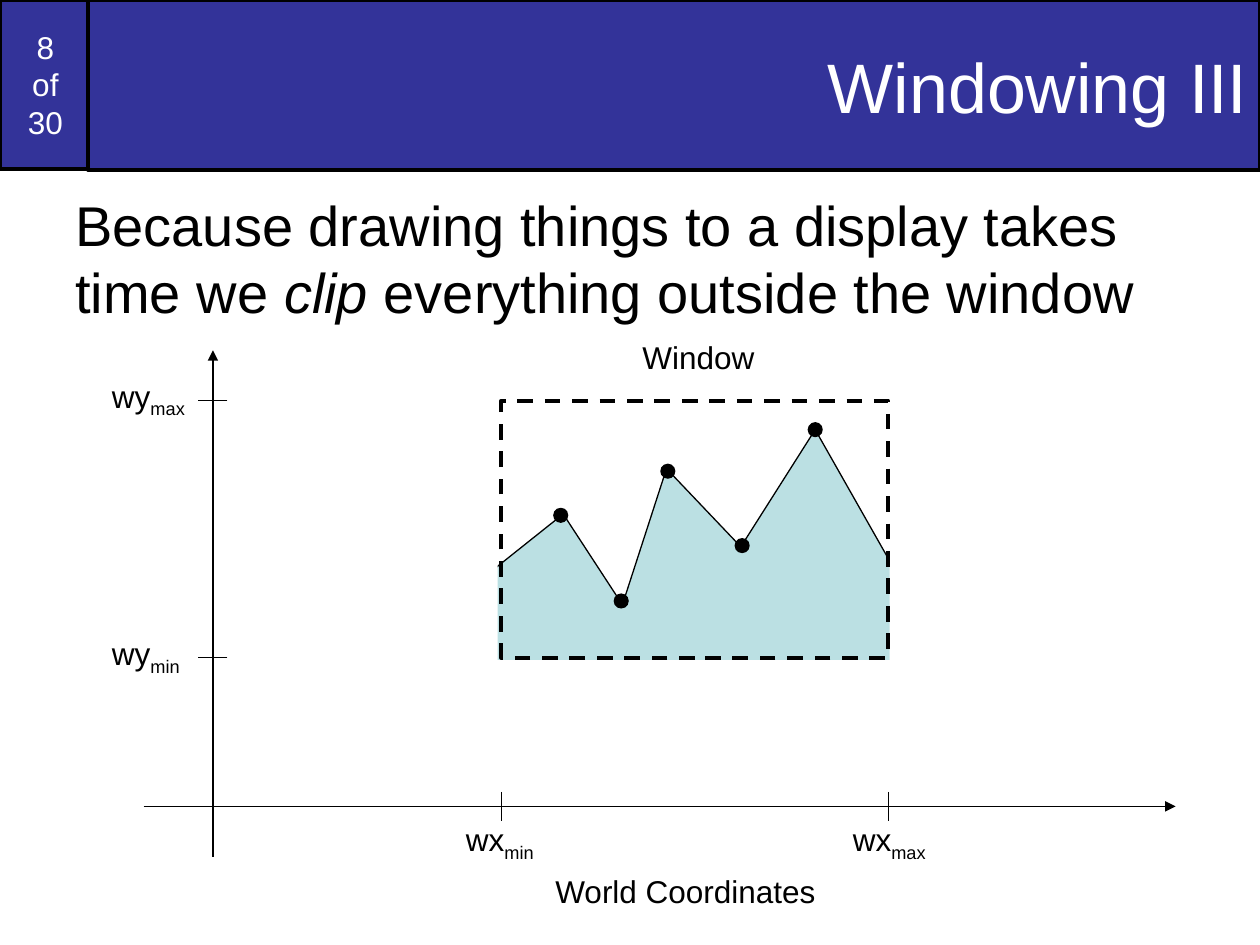
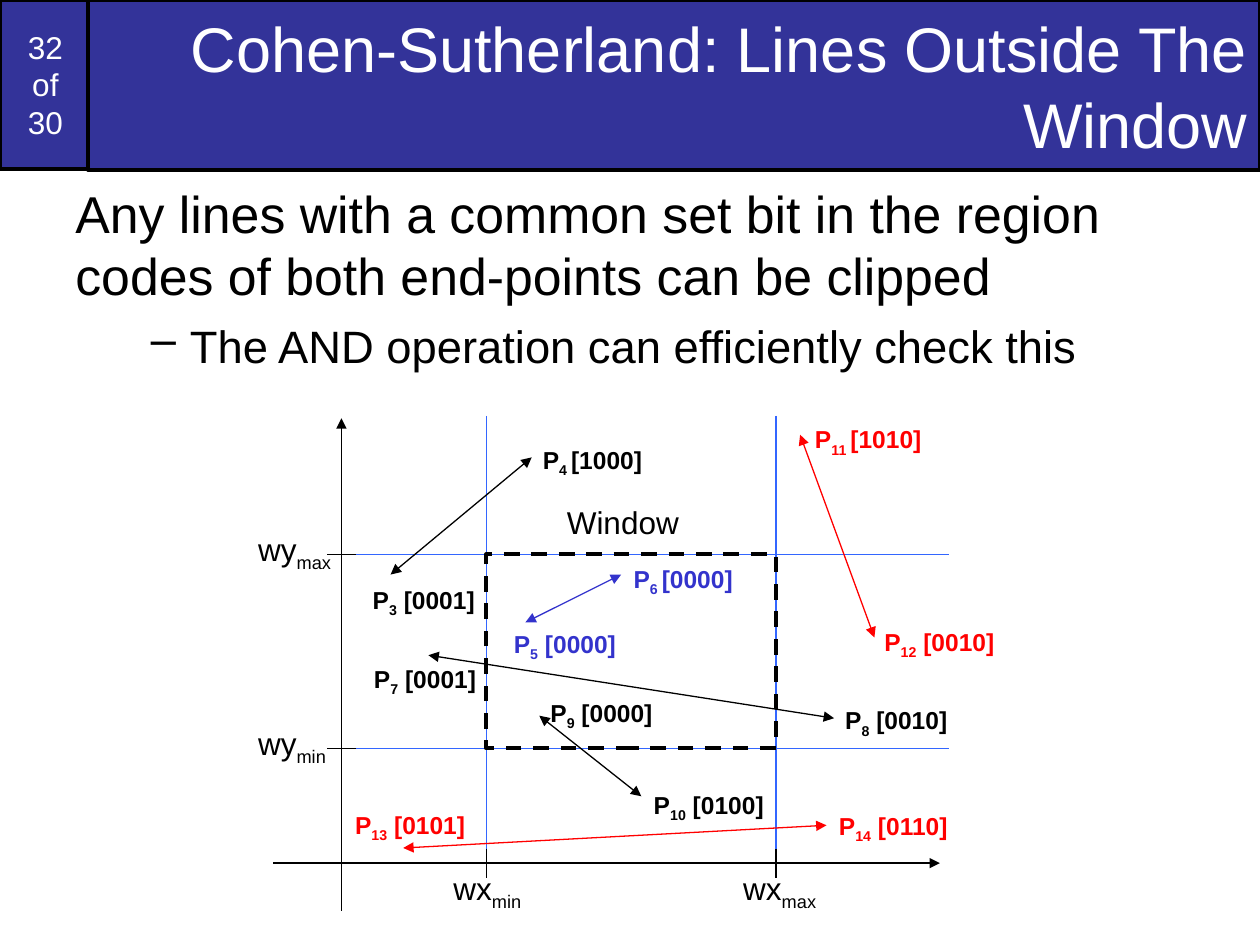
from lxml import etree
from pptx import Presentation
from pptx.dml.color import RGBColor
from pptx.enum.dml import MSO_LINE
from pptx.enum.shapes import MSO_CONNECTOR, MSO_SHAPE
from pptx.enum.text import MSO_ANCHOR, PP_ALIGN
from pptx.oxml.ns import qn
from pptx.util import Inches, Pt

RECTANGLE, ELLIPSE = MSO_SHAPE.RECTANGLE, MSO_SHAPE.OVAL
STRAIGHT, DASH = MSO_CONNECTOR.STRAIGHT, MSO_LINE.DASH
LEFT, CENTER, RIGHT = PP_ALIGN.LEFT, PP_ALIGN.CENTER, PP_ALIGN.RIGHT
MIDDLE = MSO_ANCHOR.MIDDLE

BLACK = RGBColor(0x00, 0x00, 0x00)
WHITE = RGBColor(0xFF, 0xFF, 0xFF)
NAVY = RGBColor(0x33, 0x33, 0x99)
TEAL = RGBColor(0xBB, 0xE0, 0xE3)
BLUE = RGBColor(0x33, 0x66, 0xFF)
INDIGO = RGBColor(0x33, 0x33, 0xCC)
RED = RGBColor(0xFF, 0x00, 0x00)

FONT = "Arial"
WIDTH, HEIGHT = 10, 7.5
BAND_HEIGHT, COUNTER_WIDTH = 1.35, 0.7
BODY_LEFT, BODY_WIDTH = WIDTH * 0.05, WIDTH * 0.9
THIN, FRAME, DASHED = 0.75, 2, 2.25
TICK = 0.23
DOT = 0.12
TOTAL_PAGES = 30
TIGHT_LABELS = (4, 6, 11)


def inches(*lengths):
    return [Inches(length) for length in lengths]


def write(para, *spans, size=18, color=BLACK, bold=False, align=LEFT):
    """Add spans to a paragraph; a span is a text or a (text, "sub" | "italic") pair."""
    para.alignment = align
    for span in spans:
        text, style = (span, None) if isinstance(span, str) else span
        for index, line in enumerate(text.split("\n")):
            if index:
                para.add_line_break()
            run = para.add_run()
            run.text = line
            font = run.font
            font.name, font.size, font.bold = FONT, Pt(size), bold
            font.color.rgb = color
            if style == "italic":
                font.italic = True
            elif style == "sub":
                run._r.get_or_add_rPr().set("baseline", "-25000")


def add_text(page, left, top, width, height, *spans, wrap=False, **text_format):
    box = page.shapes.add_textbox(*inches(left, top, width, height))
    box.text_frame.word_wrap = wrap
    write(box.text_frame.paragraphs[0], *spans, **text_format)
    return box


def paint(shape, fill=None, line=None, line_width=THIN):
    if fill is None:
        shape.fill.background()
    else:
        shape.fill.solid()
        shape.fill.fore_color.rgb = fill
    if line is None:
        shape.line.fill.background()
    else:
        shape.line.color.rgb = line
        shape.line.width = Pt(line_width)


def add_block(page, kind, left, top, width, height, **look):
    shape = page.shapes.add_shape(kind, *inches(left, top, width, height))
    shape.shadow.inherit = False
    paint(shape, **look)
    return shape


def add_line(page, start, end, color=BLACK, arrows=()):
    """Draw a thin line; arrows may name headEnd and tailEnd, in that order."""
    line = page.shapes.add_connector(STRAIGHT, *inches(*start, *end))
    line.line.color.rgb = color
    line.line.width = Pt(THIN)
    stroke = line.line._get_or_add_ln()
    for arrow in arrows:
        etree.SubElement(stroke, qn("a:" + arrow)).set("type", "triangle")
    etree.SubElement(line._element.spPr, qn("a:effectLst"))


def add_page(deck, number, title, title_size):
    """Add a title-only page with the page counter and the title band."""
    page = deck.slides.add_slide(deck.slide_layouts[5])
    counter = add_block(page, RECTANGLE, 0, 0, COUNTER_WIDTH + 0.02, BAND_HEIGHT - 0.01,
                        fill=NAVY, line=BLACK, line_width=FRAME)
    counter.text_frame.vertical_anchor = MIDDLE
    write(counter.text_frame.paragraphs[0], f"{number}\nof\n{TOTAL_PAGES}",
          color=WHITE, align=CENTER)

    band = page.shapes.title
    band.left, band.top, band.width, band.height = inches(
        COUNTER_WIDTH, 0, WIDTH - COUNTER_WIDTH, BAND_HEIGHT)
    paint(band, fill=NAVY, line=BLACK, line_width=FRAME)
    page.shapes._spTree.append(band._element)
    band.text_frame.vertical_anchor = MIDDLE
    band.text_frame.word_wrap = True
    write(band.text_frame.paragraphs[0], title, size=title_size, color=WHITE, align=RIGHT)
    return page


def add_axes(page, origin, x_range, y_range):
    x, y = origin
    add_line(page, (x_range[0], y), (x_range[1], y), arrows=["tailEnd"])
    add_line(page, (x, y_range[1]), (x, y_range[0]), arrows=["tailEnd"])


def add_window(page, window, caption_at):
    left, top, right, bottom = window
    frame = add_block(page, RECTANGLE, left, top, right - left, bottom - top,
                      line=BLACK, line_width=DASHED)
    frame.line.dash_style = DASH
    add_text(page, *caption_at, 1.09, 0.4, "Window")


def add_limits(page, origin, window, y_label_left, x_label_shift, x_label_top):
    """Mark the limits of the window on both axes."""
    x, y = origin
    left, top, right, bottom = window
    for limit, name, width in ((top, "max", 0.78), (bottom, "min", 0.74)):
        add_line(page, (x + TICK / 2, limit), (x - TICK / 2, limit))
        add_text(page, y_label_left, limit - 0.24, width, 0.44, "wy", (name, "sub"))
    for limit, name, width in ((left, "min", 0.74), (right, "max", 0.78)):
        add_line(page, (limit, y - TICK / 2), (limit, y + TICK / 2))
        add_text(page, limit - x_label_shift, x_label_top, width, 0.44,
                 "wx", (name, "sub"))


def add_outline(page, points, **look):
    start, *rest = [inches(*point) for point in points]
    builder = page.shapes.build_freeform(*start)
    builder.add_line_segments(rest, close=True)
    shape = builder.convert_to_shape()
    shape.shadow.inherit = False
    paint(shape, **look)


def add_bullet(box, text, size):
    para = box.text_frame.add_paragraph()
    properties = para._p.get_or_add_pPr()
    properties.set("marL", str(Inches(0.91)))
    properties.set("indent", str(Inches(-0.31)))
    para.space_before = Pt(7)
    etree.SubElement(properties, qn("a:buChar")).set("char", "–")
    write(para, text, size=size)


def add_point_label(page, number, code, left, top, color):
    """Label a point with its region code; a tight label has a narrow, lowered space."""
    if number in TIGHT_LABELS:
        spans = (f"{number} ", "sub"), f"[{code}]"
    else:
        spans = (str(number), "sub"), f" [{code}]"
    width = 1.2 if number > 9 else 1.1
    add_text(page, left, top, width, 0.37, "P", *spans, size=14, bold=True, color=color)


def build_windowing(deck):
    page = add_page(deck, 8, "Windowing III", 40)
    origin, window = (1.69, 6.4), (3.98, 3.18, 7.05, 5.22)
    peaks = [(4.45, 4.09), (4.93, 4.77), (5.3, 3.74), (5.89, 4.33), (6.47, 3.41)]
    terrain = [(2.01, 6.04), (4.47, 4.08), (4.94, 4.8), (5.29, 3.72),
               (5.88, 4.34), (6.47, 3.41), (7.99, 6.09)]

    add_outline(page, terrain, fill=TEAL, line=BLACK)
    add_axes(page, origin, (1.14, 9.33), (2.78, 6.8))
    clipped_parts = [(1.93, 2.31, 2.02, 3.94), (7.06, 2.24, 2.02, 3.94),
                     (2.79, 5.24, 4.96, 0.93)]
    for part in clipped_parts:
        add_block(page, RECTANGLE, *part, fill=WHITE)
    add_window(page, window, (5, 2.63))
    for x, y in peaks:
        add_block(page, ELLIPSE, x - DOT / 2, y - DOT / 2, DOT, DOT, fill=BLACK)
    add_text(page, BODY_LEFT, 1.46, BODY_WIDTH, 1.43,
             "Because drawing things to a display takes time we ", ("clip", "italic"),
             " everything outside the window", size=32, wrap=True)
    add_limits(page, origin, window, y_label_left=0.79, x_label_shift=0.38,
               x_label_top=6.46)
    add_text(page, 4.31, 6.87, 2.27, 0.4, "World Coordinates")


def build_outside_lines(deck):
    page = add_page(deck, 32, "Cohen-Sutherland: Lines Outside The Window", 36)
    origin, window = (2.71, 6.85), (3.86, 4.4, 6.16, 5.94)
    left, top, right, bottom = window

    body = add_text(page, BODY_LEFT, 1.39, BODY_WIDTH, 2.08,
                    "Any lines with a common set bit in the region codes of both "
                    "end-points can be clipped", size=29.6, wrap=True)
    add_bullet(body, "The AND operation can efficiently check this", 25.9)

    for x in (left, right):
        add_line(page, (x, 3.3), (x, 6.8), BLUE)
    for y in (top, bottom):
        add_line(page, (7.53, y), (2.8, y), BLUE)
    add_axes(page, origin, (2.17, 7.46), (3.32, 7.23))
    add_window(page, window, (4.4, 3.94))
    add_limits(page, origin, window, y_label_left=1.95, x_label_shift=0.36,
               x_label_top=6.85)

    segments = [
        ((4.17, 4.94), (4.93, 4.56), INDIGO),
        ((3.1, 4.56), (4.22, 3.63), BLACK),
        ((4.28, 5.68), (5.09, 6.32), BLACK),
        ((3.4, 5.2), (6.62, 5.7), BLACK),
        ((6.94, 5.06), (6.35, 3.45), RED),
        ((3.2, 6.73), (6.56, 6.55), RED),
    ]
    for start, end, color in segments:
        add_line(page, start, end, color, arrows=["headEnd", "tailEnd"])

    point_labels = [
        (3, "0001", 2.86, 4.59, BLACK),
        (4, "1000", 4.21, 3.48, BLACK),
        (5, "0000", 3.98, 4.94, INDIGO),
        (6, "0000", 4.93, 4.43, INDIGO),
        (7, "0001", 2.87, 5.22, BLACK),
        (8, "0010", 6.61, 5.55, BLACK),
        (9, "0000", 4.27, 5.49, BLACK),
        (10, "0100", 5.09, 6.22, BLACK),
        (11, "1010", 6.37, 3.32, RED),
        (12, "0010", 6.92, 4.93, RED),
        (13, "0101", 2.72, 6.38, RED),
        (14, "0110", 6.56, 6.39, RED),
    ]
    for label in point_labels:
        add_point_label(page, *label)


def main():
    deck = Presentation()
    deck.slide_width, deck.slide_height = inches(WIDTH, HEIGHT)
    build_windowing(deck)
    build_outside_lines(deck)
    deck.save("out.pptx")


if __name__ == "__main__":
    main()
